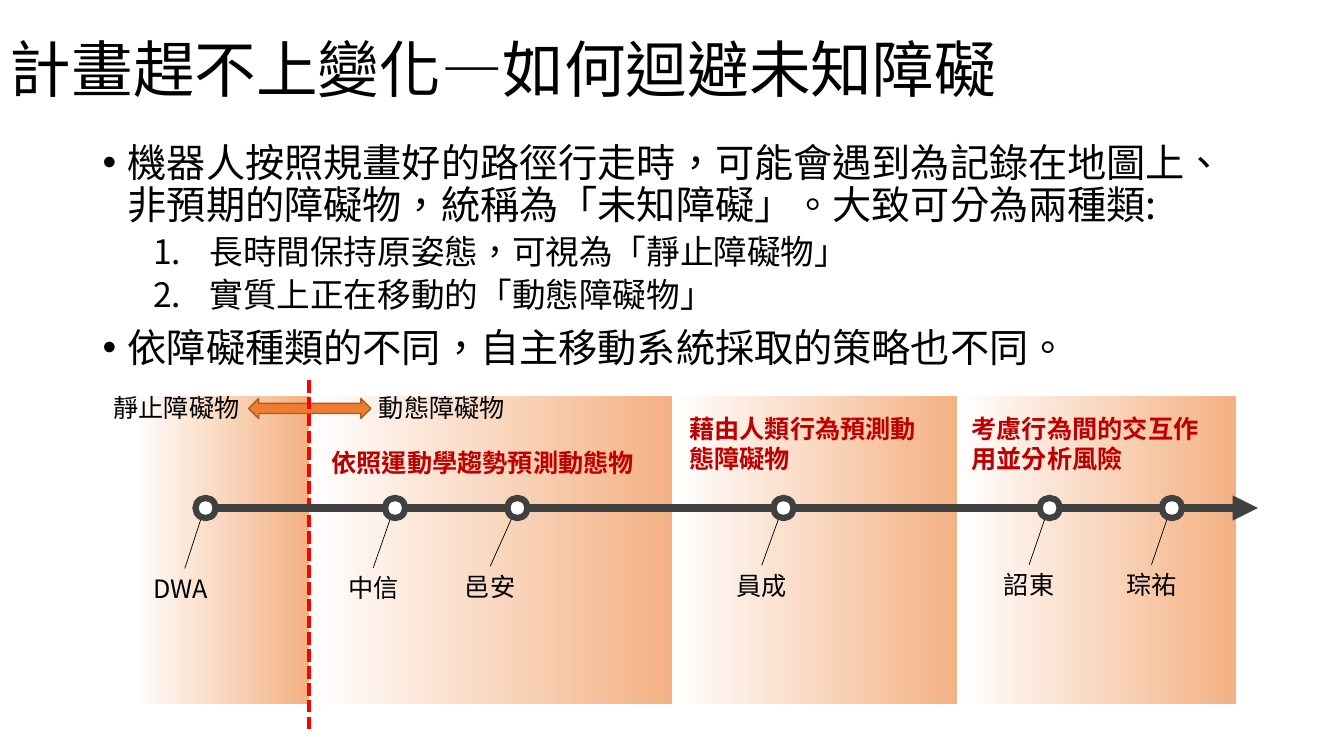
from itertools import pairwise
from lxml.etree import SubElement as Sub
from pptx import Presentation
from pptx.dml.color import RGBColor as Rgb
from pptx.enum.dml import MSO_LINE_DASH_STYLE as Dash
from pptx.enum.shapes import MSO_CONNECTOR as Conn, MSO_SHAPE as Kind
from pptx.enum.text import MSO_ANCHOR as Anchor, MSO_AUTO_SIZE as Auto, PP_ALIGN as Align
from pptx.oxml.ns import qn
from pptx.util import Inches, Pt

WIDE, HIGH = Inches(13.33), Inches(7.5)
FONT = "Noto Sans CJK SC"
HUES = {
    "ink": "000000", "white": "FFFFFF", "peach": "F4B183", "red": "FF0000",
    "head": "C00000", "fill": "ED7D31", "edge": "AF5C24", "axis": "404040",
}
EDGES = (9.8, 23, 50, 71.2, 91.95)
AXIS = 67.2
ROW = 5.33
NODES = (
    ("DWA", 15.3, 10.65, 75.2, 6.2, Align.LEFT),
    ("中信", 29.4, 18.1, 75.1, 19.35, Align.CENTER),
    ("邑安", 38.5, 26.8, 74.9, 19.35, Align.CENTER),
    ("員成", 58.3, 47, 74.8, 19.35, Align.CENTER),
    ("詔東", 78.1, 66.9, 74.7, 19.35, Align.CENTER),
    ("琮祐", 87.2, 76, 74.7, 19.35, Align.CENTER),
)
HEADS = (
    ("依照運動學趨勢預測動態物", 23.93, 58.5, 25.6, ROW),
    ("藉由人類行為預測動態障礙物", 50.55, 54, 19.3, 9.5),
    ("考慮行為間的交互作用並分析風險", 71.55, 54, 19.3, 9.5),
)
SIDES = (("靜止障礙物", 7.7), ("動態障礙物", 27.45))
POINTS = (
    (0, "機器人按照規畫好的路徑行走時，可能會遇到為記錄在地圖上、非預期的障礙物，統稱為「未知障礙」。大致可分為兩種類:"),
    (1, "長時間保持原姿態，可視為「靜止障礙物」"),
    (1, "實質上正在移動的「動態障礙物」"),
    (0, "依障礙種類的不同，自主移動系統採取的策略也不同。"),
)
LEVELS = (
    (28, 10, 0.25, -0.25, "buChar", {"char": "•"}),
    (24, 5, 1.06, -0.56, "buAutoNum", {"type": "arabicPeriod"}),
)


def hue(name):
    return Rgb.from_string(HUES[name])


def across(share):
    return int(WIDE * share / 100)


def down(share):
    return int(HIGH * share / 100)


def area(x, y, w, h):
    return across(x), down(y), across(w), down(h)


def write(para, text, size, tint="ink", bold=False):
    run = para.add_run()
    run.text = text
    run.font.size = Pt(size)
    run.font.bold = bold
    run.font.color.rgb = hue(tint)
    run.font.name = FONT
    props = run._r.get_or_add_rPr()
    props.set("lang", "zh-TW")
    Sub(props, qn("a:ea")).set("typeface", FONT)


def frame(slide, *box):
    shape = slide.shapes.add_textbox(*area(*box))
    shape.text_frame.word_wrap = True
    return shape


def label(slide, text, box, tint="ink", bold=False, align=Align.LEFT):
    shape = frame(slide, *box)
    shape.text_frame.auto_size = Auto.SHAPE_TO_FIT_TEXT
    para = shape.text_frame.paragraphs[0]
    para.alignment = align
    write(para, text, 18, tint, bold)
    return shape


def title(slide, text):
    body = frame(slide, 0, 0, 86.25, 19.33).text_frame
    body.vertical_anchor = Anchor.MIDDLE
    body.paragraphs[0].line_spacing = 0.9
    write(body.paragraphs[0], text, 44)


def bullets(slide):
    body = frame(slide, 6.9, 18.3, 86.25, 31.7).text_frame
    for index, (level, text) in enumerate(POINTS):
        size, gap, left, hang, tag, mark = LEVELS[level]
        para = body.add_paragraph() if index else body.paragraphs[0]
        para.level = level
        para.line_spacing = 0.9
        para.space_before = Pt(gap if index else 0)
        props = para._p.get_or_add_pPr()
        props.set("marL", str(Inches(left)))
        props.set("indent", str(Inches(hang)))
        if not level:
            Sub(props, qn("a:buFont")).set("typeface", "Arial")
        Sub(props, qn("a:" + tag), mark)
        write(para, text, size)


def solid(slide, kind, box, fill, edge, width):
    shape = slide.shapes.add_shape(kind, *box)
    shape.shadow.inherit = False
    shape.fill.solid()
    shape.fill.fore_color.rgb = hue(fill)
    shape.line.color.rgb = hue(edge)
    shape.line.width = Pt(width)


def band(slide, left, right):
    shape = slide.shapes.add_shape(Kind.RECTANGLE, *area(left, 52.4, right - left, 40.8))
    shape.shadow.inherit = False
    shape.line.fill.background()
    shape.fill.gradient()
    shape.fill.gradient_angle = 0
    for stop, tint, place in zip(shape.fill.gradient_stops, ("white", "peach"), (0, 1)):
        stop.color.rgb = hue(tint)
        stop.position = place


def line(slide, start, end, tint, width):
    link = slide.shapes.add_connector(
        Conn.STRAIGHT, across(start[0]), down(start[1]), across(end[0]), down(end[1]))
    link.line.color.rgb = hue(tint)
    link.line.width = Pt(width)
    Sub(link._element.spPr, qn("a:effectLst"))
    return link


def node(slide, x):
    size = Inches(0.2)
    box = across(x) - size // 2, down(AXIS) - size // 2, size, size
    solid(slide, Kind.OVAL, box, "white", "axis", 4.5)


def leader(slide, text, x, left, top, width, align):
    tag = label(slide, text, (left, top, width, ROW), align=align)
    link = line(slide, (x - 0.1, 67.3), (left + width / 2, top), "ink", 0.5)
    link.end_connect(tag, 0)


def main():
    deck = Presentation()
    deck.slide_width, deck.slide_height = WIDE, HIGH
    slide = deck.slides.add_slide(deck.slide_layouts[6])
    for left, right in pairwise(EDGES):
        band(slide, left, right)
    title(slide, "計畫趕不上變化—如何迴避未知障礙")
    bullets(slide)
    solid(slide, Kind.LEFT_RIGHT_ARROW, area(18.5, 52.7, 9.1, 2.67), "fill", "edge", 1)
    for text, left in SIDES:
        label(slide, text, (left, 51.2, 11.55, ROW))
    split = line(slide, (EDGES[1], 50.27), (EDGES[1], 96.67), "red", 3)
    split.line.dash_style = Dash.SQUARE_DOT
    for text, *box in HEADS:
        label(slide, text, box, "head", True)
    for item in NODES:
        leader(slide, *item)
    axis = line(slide, (15.5, AXIS), (93.6, AXIS), "axis", 6)
    Sub(axis.line._get_or_add_ln(), qn("a:tailEnd")).set("type", "triangle")
    for item in NODES:
        node(slide, item[1])
    deck.save("out.pptx")


if __name__ == "__main__":
    main()
